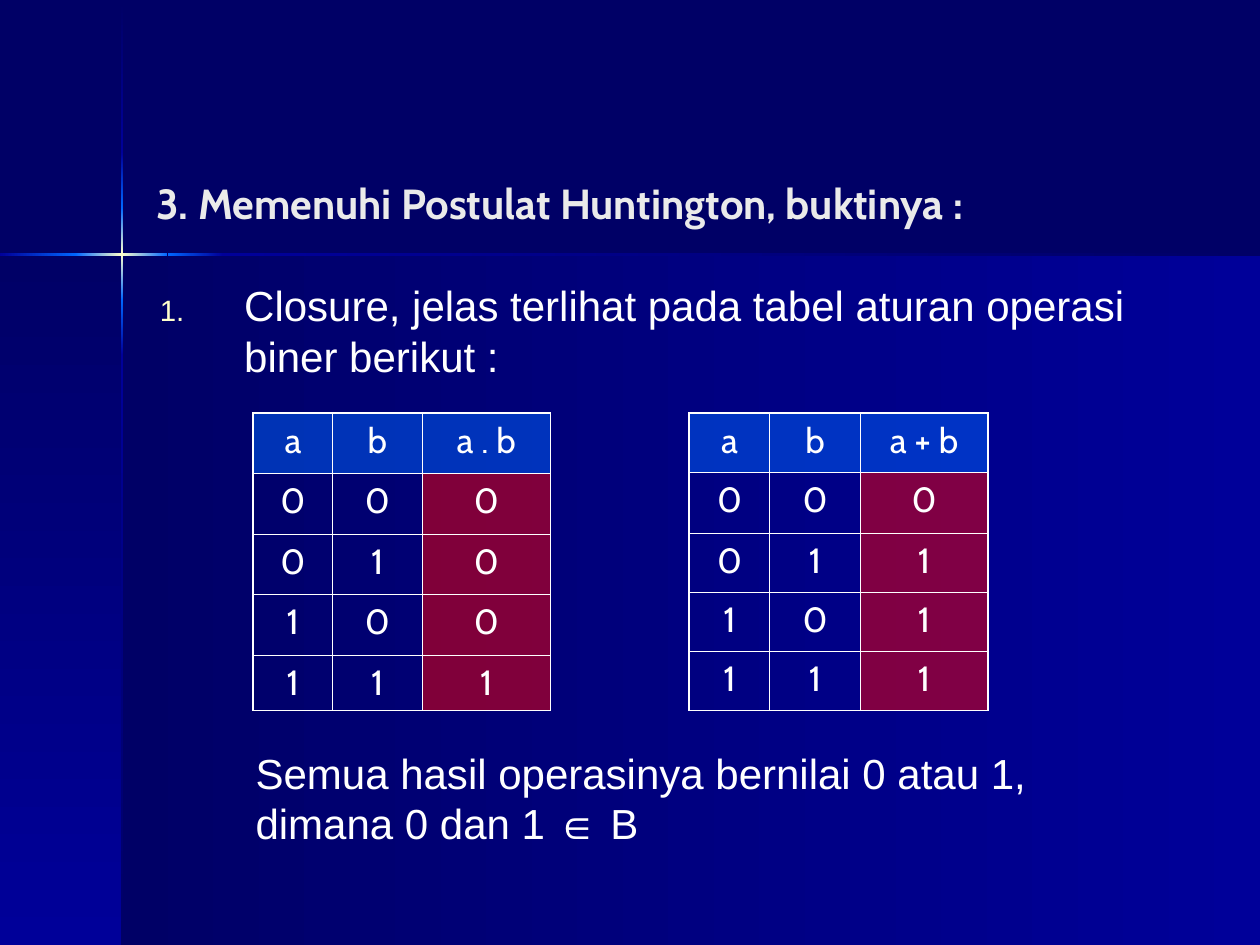
from copy import deepcopy
from typing import NamedTuple

from pptx import Presentation
from pptx import util as u
from pptx.dml.color import RGBColor
from pptx.enum import shapes, text
from pptx.oxml import parse_xml
from pptx.oxml.ns import nsdecls, qn

NAVY = RGBColor(0x00, 0x00, 0x66)
BLUE = RGBColor(0x00, 0x00, 0x99)
BRIGHT = RGBColor(0x00, 0x66, 0xFF)
CREAM = RGBColor(0xFF, 0xFF, 0xCC)
RED = RGBColor(0xFF, 0x00, 0x00)
WHITE = RGBColor(0xFF, 0xFF, 0xFF)
TITLE_GREY = RGBColor(0xEA, 0xEA, 0xEA)

WIDTH, HEIGHT = 10, 7.5
CROSS_X, CROSS_Y = 0.97, 2.02
BEAM = 0.02
OUTER_LINE, INNER_LINE = 1.08, 0.45
ACROSS, DOWN = 0, 270


class Box(NamedTuple):
    left: float
    top: float
    width: float
    height: float

    def lengths(self) -> list[u.Inches]:
        return [u.Inches(value) for value in self]


class Band(NamedTuple):
    box: Box
    colors: tuple[RGBColor, ...]
    angle: int


class TruthTable(NamedTuple):
    left: float
    columns: tuple[float, ...]
    rows: tuple[float, ...]
    operation: str
    results: str


class Beam(NamedTuple):
    start: float
    end: float
    colors: tuple[RGBColor, ...]


GLOW = (BRIGHT, CREAM, BRIGHT)
VERTICAL_BEAMS = (
    Beam(0.01, 1.21, (NAVY, BLUE)),
    Beam(2.82, HEIGHT, (BLUE, NAVY)),
    Beam(2.38, 2.82, (BRIGHT, BLUE)),
    Beam(1.21, 1.65, (BLUE, BRIGHT)),
    Beam(1.65, 2.38, GLOW),
)
HORIZONTAL_BEAMS = (
    Beam(1.77, WIDTH, (BLUE, NAVY)),
    Beam(0, 0.61, (BLUE, BRIGHT)),
    Beam(1.33, 1.77, (BRIGHT, BLUE)),
    Beam(0.6, 1.33, GLOW),
)
BANDS = [
    Band(Box(CROSS_X, CROSS_Y, WIDTH - CROSS_X, HEIGHT - CROSS_Y), (NAVY, BLUE), ACROSS),
    Band(Box(0, CROSS_Y, CROSS_X, HEIGHT - CROSS_Y), (NAVY, BLUE), DOWN),
    *(Band(Box(CROSS_X - BEAM / 2, beam.start, BEAM, beam.end - beam.start),
           beam.colors, DOWN) for beam in VERTICAL_BEAMS),
    *(Band(Box(beam.start, CROSS_Y - BEAM / 2, beam.end - beam.start, BEAM),
           beam.colors, ACROSS) for beam in HORIZONTAL_BEAMS),
]

TABLE_TOP = 3.28
OPERANDS = ("00", "01", "10", "11")
TABLES = (
    TruthTable(5.47, (0.64, 0.72, 1.01), (0.47, 0.48, 0.47, 0.47, 0.47), "a + b", "0111"),
    TruthTable(2.01, (0.63, 0.71, 1.02), (0.48, 0.48, 0.48, 0.48, 0.44), "a . b", "0001"),
)


def add_band(slide, band: Band) -> None:
    shape = slide.shapes.add_shape(shapes.MSO_SHAPE.RECTANGLE, *band.box.lengths())
    shape.shadow.inherit = False
    shape.line.fill.background()
    shape.fill.gradient()
    shape.fill.gradient_angle = band.angle
    stop_list = shape._element.spPr.find(".//" + qn("a:gsLst"))
    for _ in band.colors[2:]:
        stop_list.append(deepcopy(stop_list[-1]))
    for index, (stop, color) in enumerate(zip(shape.fill.gradient_stops, band.colors)):
        stop.color.rgb = color
        stop.position = index / (len(band.colors) - 1)


def style(paragraph, color: RGBColor, size: int, font: str) -> None:
    paragraph.font.size = u.Pt(size)
    paragraph.font.name = font
    paragraph.font.color.rgb = color


def fill_half_transparent(cell, color: RGBColor) -> None:
    cell.fill.solid()
    cell.fill.fore_color.rgb = color
    color_element = cell._tc.tcPr.find(".//" + qn("a:srgbClr"))
    color_element.append(parse_xml(f'<a:alpha {nsdecls("a")} val="50000"/>'))


def set_borders(cell, outer_sides: dict[str, bool]) -> None:
    for index, (side, outer) in enumerate(outer_sides.items()):
        width = u.Pt(OUTER_LINE if outer else INNER_LINE)
        cell._tc.tcPr.insert(index, parse_xml(
            f'<a:ln{side} {nsdecls("a")} w="{width}"><a:solidFill>'
            f'<a:srgbClr val="{WHITE}"/></a:solidFill></a:ln{side}>'))


def add_truth_table(slide, truth: TruthTable) -> None:
    values = [("a", "b", truth.operation)]
    values += [(*pair, result) for pair, result in zip(OPERANDS, truth.results)]
    last_row, last_column = len(truth.rows) - 1, len(truth.columns) - 1
    box = Box(truth.left, TABLE_TOP, sum(truth.columns), sum(truth.rows))
    table = slide.shapes.add_table(last_row + 1, last_column + 1, *box.lengths()).table
    table.first_row = table.horz_banding = False
    for column, width in zip(table.columns, truth.columns):
        column.width = u.Inches(width)
    for row, height in zip(table.rows, truth.rows):
        row.height = u.Inches(height)
    for r, row_values in enumerate(values):
        for c, value in enumerate(row_values):
            cell = table.cell(r, c)
            cell.text = value
            paragraph = cell.text_frame.paragraphs[0]
            paragraph.alignment = text.PP_ALIGN.CENTER
            style(paragraph, WHITE, 20, "Cabin")
            if r == 0:
                fill_half_transparent(cell, BRIGHT)
            elif c == last_column:
                fill_half_transparent(cell, RED)
            else:
                cell.fill.background()
            set_borders(cell, {"L": c == 0, "R": c == last_column,
                               "T": r == 0, "B": r == last_row})


def add_text(slide, box: Box, lines: list[str]):
    frame = slide.shapes.add_textbox(*box.lengths()).text_frame
    frame.word_wrap = True
    frame.text = "\n".join(lines)
    for paragraph in frame.paragraphs:
        style(paragraph, WHITE, 24, "Arial")
    return frame


def number_paragraph(paragraph) -> None:
    properties = paragraph._p.get_or_add_pPr()
    indent = u.Inches(0.67)
    properties.set("marL", str(indent))
    properties.set("indent", str(-indent))
    bullet = (f'<a:buClr {nsdecls("a")}><a:srgbClr val="{CREAM}"/></a:buClr>',
              f'<a:buSzPct {nsdecls("a")} val="70000"/>',
              f'<a:buAutoNum {nsdecls("a")} type="arabicPeriod"/>')
    for index, element in enumerate(bullet):
        properties.insert(index, parse_xml(element))


def format_title(slide) -> None:
    title = slide.shapes.title
    title.left, title.top, title.width, title.height = Box(1.14, 1.39, 8.25, 0.43).lengths()
    frame = title.text_frame
    frame.text = "3. Memenuhi Postulat Huntington, buktinya :"
    frame.vertical_anchor = text.MSO_ANCHOR.MIDDLE
    frame.auto_size = text.MSO_AUTO_SIZE.NONE
    paragraph = frame.paragraphs[0]
    paragraph.alignment = text.PP_ALIGN.LEFT
    style(paragraph, TITLE_GREY, 24, "Cabin")
    paragraph.font.bold = True


def main() -> None:
    presentation = Presentation()
    presentation.slide_width = u.Inches(WIDTH)
    presentation.slide_height = u.Inches(HEIGHT)
    slide = presentation.slides.add_slide(presentation.slide_layouts[5])
    slide.background.fill.solid()
    slide.background.fill.fore_color.rgb = NAVY
    for band in BANDS:
        add_band(slide, band)
    format_title(slide)
    closure = add_text(slide, Box(1.17, 2.17, 8.4, 0.95),
                       ["Closure, jelas terlihat pada tabel aturan operasi biner berikut :"])
    number_paragraph(closure.paragraphs[0])
    for truth in TABLES:
        add_truth_table(slide, truth)
    add_text(slide, Box(1.93, 5.88, 6.41, 0.9),
             ["Semua hasil operasinya bernilai 0 atau 1,", "dimana 0 dan 1 ∈ B"])
    presentation.save("out.pptx")


if __name__ == "__main__":
    main()
